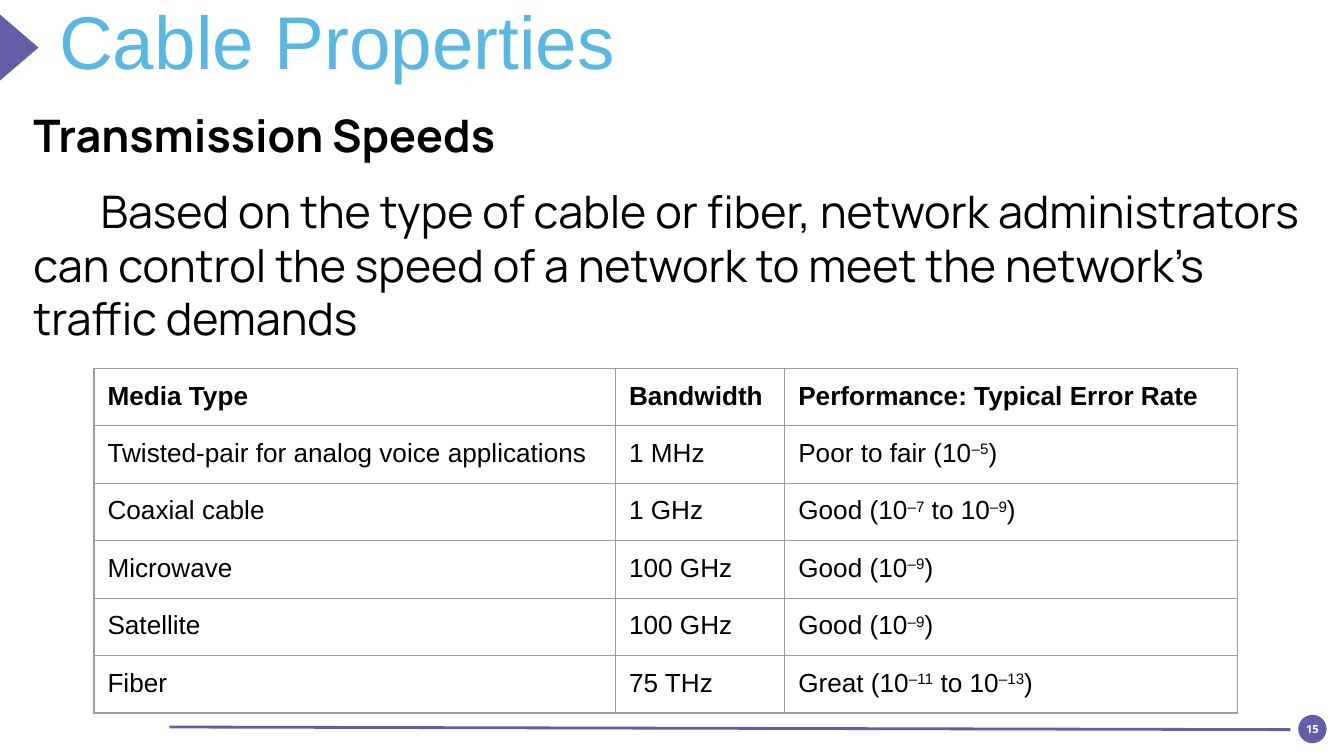
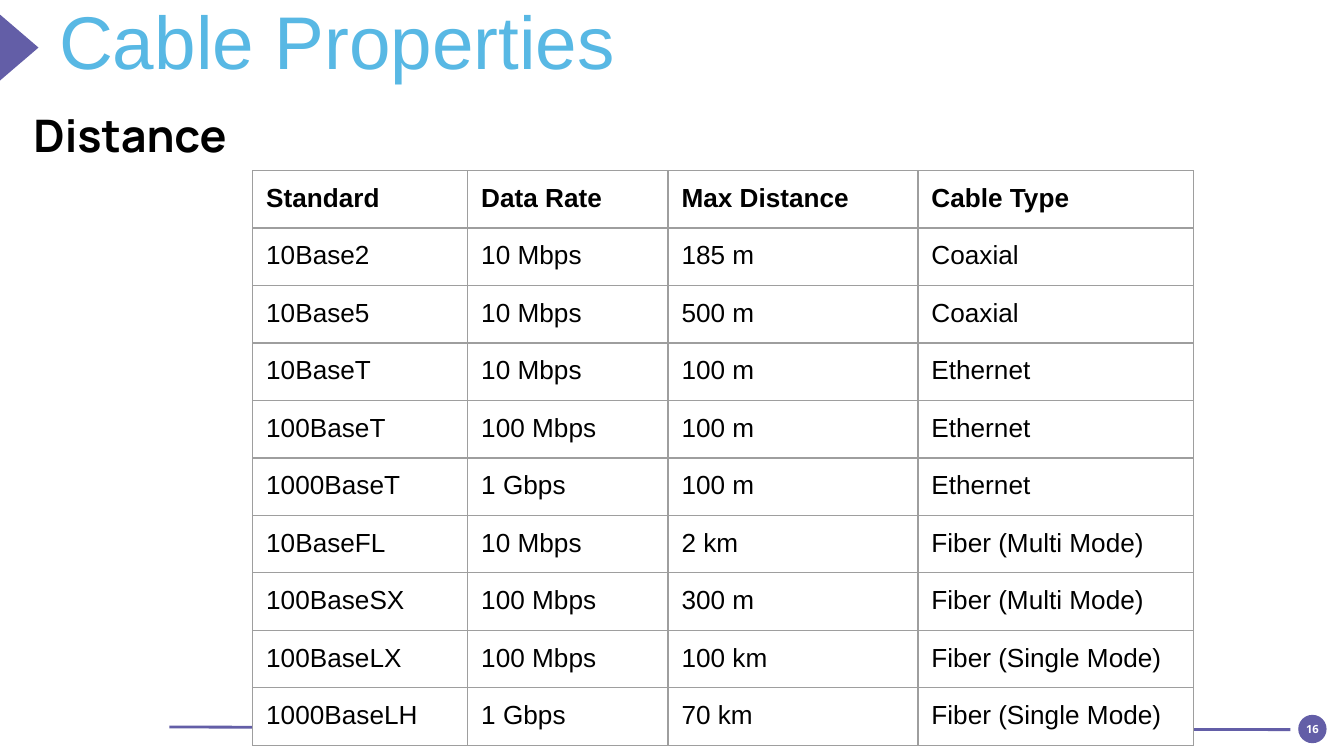
from dataclasses import dataclass
from lxml import etree
from pptx import Presentation
from pptx.dml.color import RGBColor
from pptx.enum.shapes import MSO_CONNECTOR, MSO_SHAPE
from pptx.enum.text import MSO_ANCHOR, PP_ALIGN
from pptx.oxml.ns import qn
from pptx.util import Pt

OVAL, RECT = MSO_SHAPE.OVAL, MSO_SHAPE.RECTANGLE
WEDGE = MSO_SHAPE.ISOSCELES_TRIANGLE
STRAIGHT = MSO_CONNECTOR.STRAIGHT
TOP, MIDDLE = MSO_ANCHOR.TOP, MSO_ANCHOR.MIDDLE
LEFT, CENTER = PP_ALIGN.LEFT, PP_ALIGN.CENTER


@dataclass(frozen=True)
class Theme:
    purple: str = "635EA7"
    sky: str = "58B8E4"
    black: str = "000000"
    white: str = "FFFFFF"
    grid: str = "9E9E9E"
    sans: str = "Arial"
    body: str = "Manrope"
    mark: str = "Open Sans"
    title: float = 40
    text: float = 24
    cell: float = 14
    page: float = 6
    inset: float = 7.2
    row: float = 30.1


THEME = Theme()
TITLE = "Cable Properties"

SPEEDS = [
    ["Media Type", "Bandwidth", "Performance: Typical Error Rate"],
    # Text between carets is raised
    ["Twisted-pair for analog voice applications", "1 MHz", "Poor to fair (10^–5^)"],
    ["Coaxial cable", "1 GHz", "Good (10^–7^ to 10^–9^)"],
    ["Microwave", "100 GHz", "Good (10^–9^)"],
    ["Satellite", "100 GHz", "Good (10^–9^)"],
    ["Fiber", "75 THz", "Great (10^–11^ to 10^–13^)"],
]
RANGES = [
    ["Standard", "Data Rate", "Max Distance", "Cable Type"],
    ["10Base2", "10 Mbps", "185 m", "Coaxial"],
    ["10Base5", "10 Mbps", "500 m", "Coaxial"],
    ["10BaseT", "10 Mbps", "100 m", "Ethernet"],
    ["100BaseT", "100 Mbps", "100 m", "Ethernet"],
    ["1000BaseT", "1 Gbps", "100 m", "Ethernet"],
    ["10BaseFL", "10 Mbps", "2 km", "Fiber (Multi Mode)"],
    ["100BaseSX", "100 Mbps", "300 m", "Fiber (Multi Mode)"],
    ["100BaseLX", "100 Mbps", "100 km", "Fiber (Single Mode)"],
    ["1000BaseLH", "1 Gbps", "70 km", "Fiber (Single Mode)"],
]


def points(*sizes):
    return [Pt(size) for size in sizes]


def style(para, face, size, color, bold=False):
    font = para.font
    font.name, font.size, font.bold = face, Pt(size), bold
    font.color.rgb = RGBColor.from_string(color)


def pad(frame, inset):
    frame.margin_left = frame.margin_right = Pt(inset)
    frame.margin_top = frame.margin_bottom = Pt(inset)
    frame.word_wrap = True


def solid(slide, kind, box):
    shape = slide.shapes.add_shape(kind, *points(*box))
    shape.shadow.inherit = False
    shape.fill.solid()
    shape.fill.fore_color.rgb = RGBColor.from_string(THEME.purple)
    shape.line.fill.background()
    return shape


# Title with the wedge at its left
def header(slide, box):
    x, y, w, h = box
    wedge = solid(slide, WEDGE, (x - 39.6, y + 8.4, 36, 21))
    wedge.rotation = 90
    title = slide.shapes.title
    title.left, title.top, title.width, title.height = points(*box)
    frame = title.text_frame
    pad(frame, 0)
    frame.vertical_anchor = TOP
    frame.text = TITLE
    para = frame.paragraphs[0]
    para.alignment, para.line_spacing = LEFT, 0.8
    style(para, THEME.sans, THEME.title, THEME.sky)


# Rule and page number along the bottom edge
def footer(slide, box, page):
    x, y, w, h = box
    right = x + w
    solid(slide, OVAL, (right - h, y, h, h))
    label = solid(slide, RECT, (right - h + 1.2, y + 3.9, h - 2.4, h - 7.8))
    frame = label.text_frame
    pad(frame, 0)
    frame.vertical_anchor = MIDDLE
    frame.text = str(page)
    para = frame.paragraphs[0]
    para.alignment = CENTER
    style(para, THEME.mark, THEME.page, THEME.white, True)
    ends = points(right - h - 4.2, y + 7.9, x, y + 6.5)
    rule = slide.shapes.add_connector(STRAIGHT, *ends)
    rule.line.color.rgb = RGBColor.from_string(THEME.purple)
    rule.line.width = Pt(1.5)
    etree.SubElement(rule._element.spPr, qn("a:effectLst"))


# Bold heading and an optional indented paragraph
def copy(slide, box, head, body=None):
    frame = slide.shapes.add_textbox(*points(*box)).text_frame
    pad(frame, THEME.inset)
    frame.text = head
    style(frame.paragraphs[0], THEME.body, THEME.text, THEME.black, True)
    if body:
        para = frame.add_paragraph()
        para.text = body
        para.space_before = Pt(12)
        props = para._p.get_or_add_pPr()
        props.set("marL", "0")
        props.set("indent", str(Pt(36)))
        style(para, THEME.body, THEME.text, THEME.black)


def border(cell):
    props = cell._tc.get_or_add_tcPr()
    for side in ("lnL", "lnR", "lnT", "lnB"):
        line = etree.SubElement(props, qn(f"a:{side}"), w=str(Pt(0.75)))
        fill = etree.SubElement(line, qn("a:solidFill"))
        etree.SubElement(fill, qn("a:srgbClr"), val=THEME.grid)


def write(cell, text, bold):
    para = cell.text_frame.paragraphs[0]
    for spot, part in enumerate(text.split("^")):
        run = para.add_run()
        run.text = part
        if spot % 2:
            run._r.get_or_add_rPr().set("baseline", "30000")
    style(para, THEME.sans, THEME.cell, THEME.black, bold)


# Ruled table with a bold first row
def grid(slide, spot, widths, rows, fill=None):
    size = sum(widths), THEME.row * len(rows)
    holder = slide.shapes.add_table(len(rows), len(widths), *points(*spot, *size))
    table = holder.table
    table.first_row = table.horz_banding = False
    for col, width in zip(table.columns, widths):
        col.width = Pt(width)
    for r, row in enumerate(rows):
        table.rows[r].height = Pt(THEME.row)
        for c, text in enumerate(row):
            cell = table.cell(r, c)
            cell.margin_left = cell.margin_right = Pt(THEME.inset)
            cell.margin_top = cell.margin_bottom = Pt(THEME.inset - 0.2)
            border(cell)
            if fill:
                cell.fill.solid()
                cell.fill.fore_color.rgb = RGBColor.from_string(fill)
            else:
                cell.fill.background()
            write(cell, text, r == 0)


# Parts that every slide shares
def start(deck, page):
    slide = deck.slides.add_slide(deck.slide_layouts[5])
    footer(slide, (90.7, 383, 620, 15.2), page)
    header(slide, (31.7, 6.6, 575.3, 49.7))
    return slide


def speeds(deck):
    slide = start(deck, 15)
    copy(slide, (10.8, 50.4, 709.2, 141.8), "Transmission Speeds",
         "Based on the type of cable or fiber, network administrators can "
         "control the speed of a network to meet the network’s traffic demands")
    grid(slide, (50.4, 197.3), (279.4, 90.7, 242.6), SPEEDS)


def ranges(deck):
    slide = start(deck, 16)
    copy(slide, (10.8, 50.4, 709.2, 53.3), "Distance")
    grid(slide, (135.4, 91.4), (115.2, 107.3, 133.9, 147.6), RANGES, THEME.white)


def main():
    deck = Presentation()
    deck.slide_width, deck.slide_height = points(720, 405)
    speeds(deck)
    ranges(deck)
    deck.save("out.pptx")


if __name__ == "__main__":
    main()
